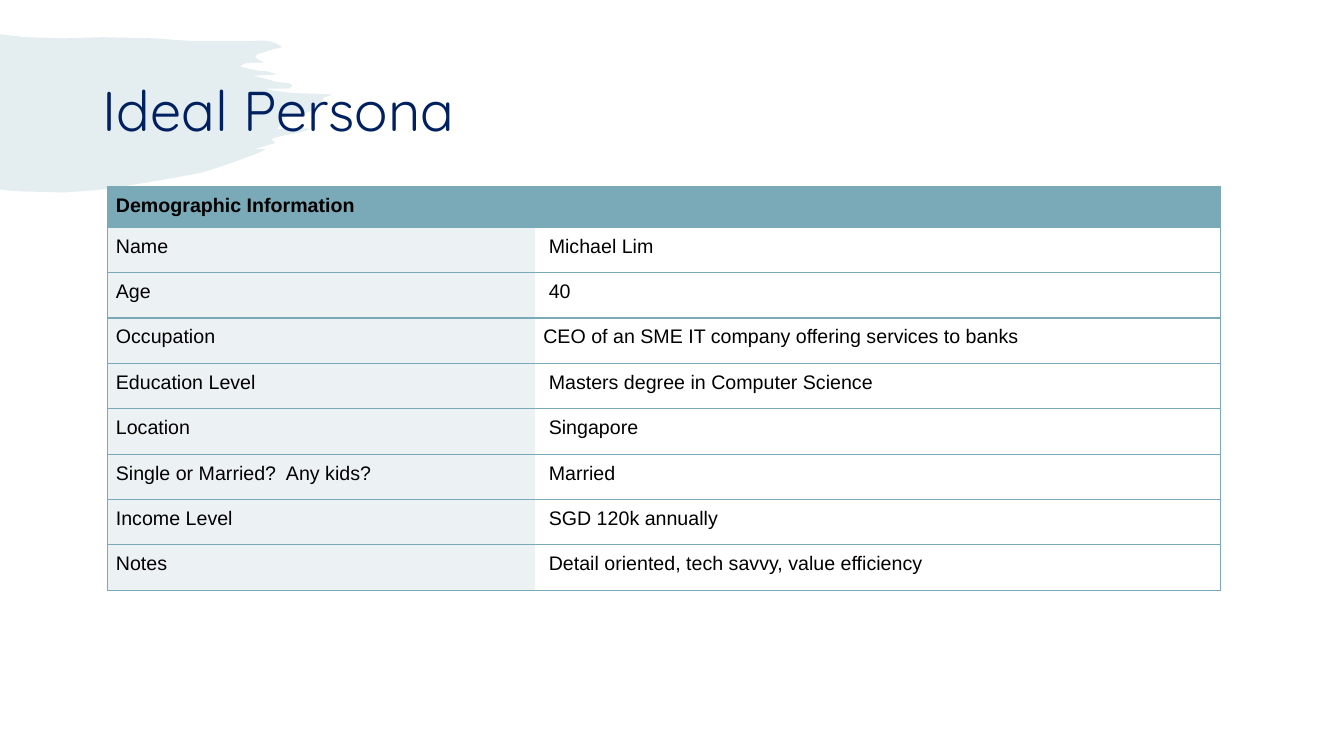
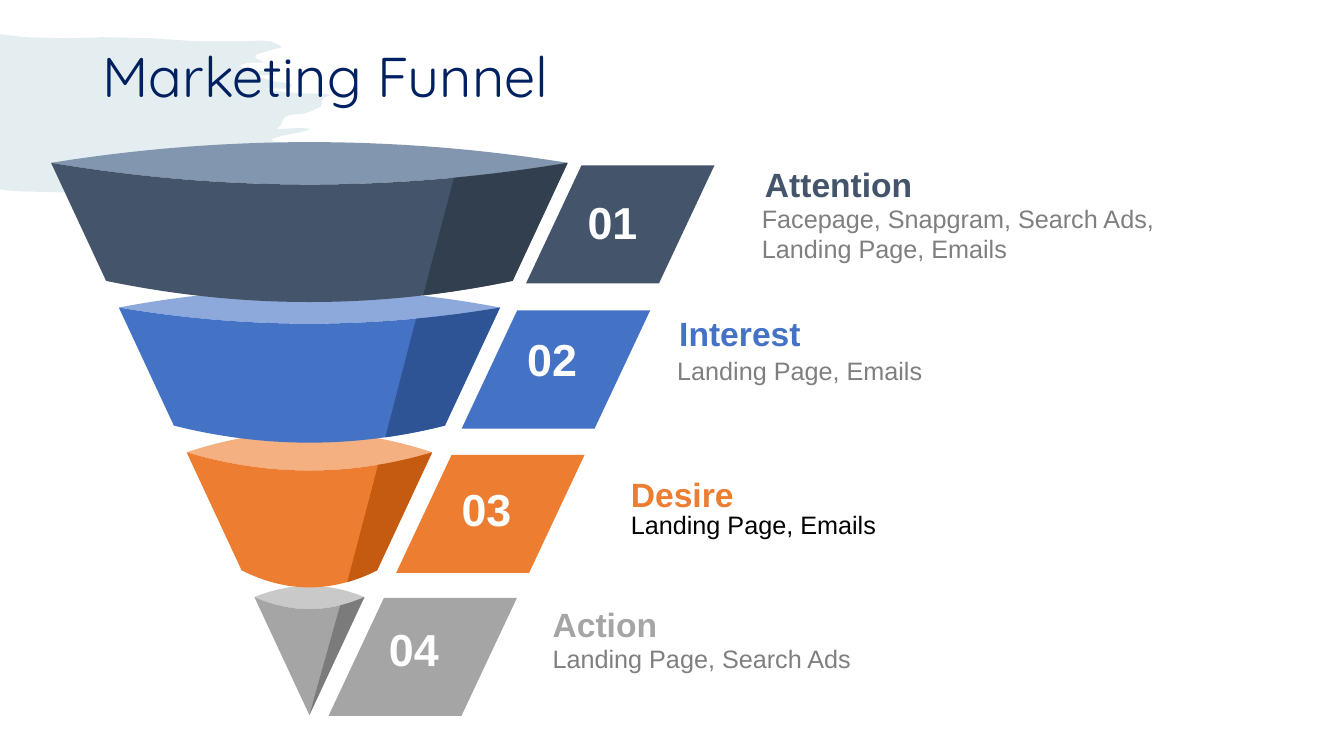
from lxml.etree import SubElement
from pptx import Presentation
from pptx.dml.color import RGBColor
from pptx.enum.shapes import MSO_SHAPE
from pptx.enum.text import MSO_ANCHOR
from pptx.oxml.ns import qn
from pptx.util import Pt

TEAL = RGBColor(0x7A, 0xA9, 0xB7)
PALE = RGBColor(0xEC, 0xF1, 0xF3)
NAVY = RGBColor(0x00, 0x20, 0x60)
WHITE = RGBColor(0xFF, 0xFF, 0xFF)
BLACK = RGBColor(0x00, 0x00, 0x00)
GRAY = RGBColor(0x7F, 0x7F, 0x7F)

TITLE_FORMAT = {"name": "Quicksand", "size": Pt(40), "bold": False}
NUMBER_FORMAT = {"name": "Arial", "size": Pt(32), "bold": True}
HEADING_FORMAT = {"name": "Arial", "size": Pt(24), "bold": True}
DETAIL_FORMAT = {"name": "Arial", "size": Pt(18), "bold": False}
CELL_FORMAT = {"name": "Arial", "size": Pt(14), "bold": False}
HEADER_FORMAT = {**CELL_FORMAT, "bold": True}

# A piece of an outline is one point for a line, or control points and an end point.
BRUSH_STROKE = [
    [(0, 24.5)], [(4.3, 25)], [(18, 26.6)], [(47.5, 27.4)], [(73.4, 26.6)],
    [(108.7, 27.4)], [(139.7, 29.5)], [(178.6, 29.5)],
    [(186.5, 28.8), (194.4, 28.1), (201.6, 33.8)],
    [(195.1, 35.3)], [(183.6, 38.9)], [(182.2, 41)], [(184.3, 42.5)], [(188.6, 44.6)],
    [(182.9, 45.4), (176.4, 43.2), (171.4, 47.5)],
    [(177.1, 49)], [(184.3, 50.4)], [(191.5, 51.1)], [(198, 53.3)], [(180.7, 54)],
    [(189.4, 56.2)], [(196.6, 58.3)], [(201.6, 59)], [(207.4, 59.8)], [(208.8, 61.2)],
    [(206.6, 63.4)], [(204.5, 63.4)], [(189.4, 63.4)],
    [(205.2, 67.7), (221, 66.2), (237.6, 67.7)],
    [(231.1, 69.8)], [(229, 76.3)], [(221, 79.9)], [(216, 81.4)],
    [(211.7, 82.1), (207.4, 81.4), (203.8, 83.5)],
    [(201.6, 86.4)], [(200.2, 90)], [(197.3, 92.2)],
    [(205.9, 92.2), (213.8, 90.7), (221.8, 92.2)],
    [(213.1, 95.8), (203, 95.8), (193.7, 99.4)],
    [(196.6, 102.2)], [(181.4, 106.6)], [(189.4, 106.6)],
    [(188.6, 108.7), (149, 122.4), (141.8, 123.8)],
    [(127.4, 126.7), (85, 133.9), (73.4, 135.4)],
    [(46.8, 137.5)], [(16.6, 136.8)], [(5, 136.1)], [(0, 135.4)],
]

TABLE_HEADER = "Demographic Information"
CELL_MARGIN, VALUE_MARGIN = 5.8, 9.7
PERSONA = [  # label, value, left margin of the value
    ("Name", "Michael Lim", VALUE_MARGIN),
    ("Age", "40", VALUE_MARGIN),
    ("Occupation", "CEO of an SME IT company offering services to banks", CELL_MARGIN),
    ("Education Level", "Masters degree in Computer Science", VALUE_MARGIN),
    ("Location", "Singapore", VALUE_MARGIN),
    ("Single or Married?  Any kids?", "Married", VALUE_MARGIN),
    ("Income Level", "SGD 120k annually", VALUE_MARGIN),
    ("Notes", "Detail oriented, tech savvy, value efficiency", VALUE_MARGIN),
]

# Places are (left, top) or (left, top, width, height); sags are the depths of the curves.
TIERS = [
    {"heading": "Attention", "detail": "Facepage, Snapgram, Search Ads, Landing Page, Emails",
     "body": RGBColor(0x44, 0x54, 0x6A), "lid": RGBColor(0x82, 0x96, 0xB0),
     "shade": RGBColor(0x32, 0x3F, 0x4F), "detail_color": GRAY,
     "lid_rise": 14.8, "rim_sag": 15.5, "base_sag": 15.1,
     "tag_at": (375.8, 118.1), "number_at": (412.6, 135.4),
     "heading_place": (539.3, 113.8, 334.1, 36.7), "detail_place": (537.1, 141.8, 358.6, 72.7)},
    {"heading": "Interest", "detail": "Landing Page, Emails",
     "body": RGBColor(0x44, 0x72, 0xC4), "lid": RGBColor(0x8D, 0xA9, 0xDB),
     "shade": RGBColor(0x2F, 0x54, 0x96), "detail_color": GRAY,
     "lid_rise": 13, "rim_sag": 11.5, "base_sag": 12.2,
     "tag_at": (329.8, 221.8), "number_at": (369.4, 233.3),
     "heading_place": (478.1, 220, 298.8, 36.7), "detail_place": (476.6, 250.6, 358.6, 28.8)},
    {"heading": "Desire", "detail": "Landing Page, Emails",
     "body": RGBColor(0xED, 0x7D, 0x31), "lid": RGBColor(0xF4, 0xB0, 0x81),
     "shade": RGBColor(0xC5, 0x5A, 0x11), "detail_color": BLACK,
     "lid_rise": 14.6, "rim_sag": 13, "base_sag": 12.2,
     "tag_at": (283, 324.9), "number_at": (322.6, 340.6),
     "heading_place": (443.5, 334.8, 308.2, 36.7), "detail_place": (443.5, 360.4, 358.6, 28.8)},
    {"heading": "Action", "detail": "Landing Page, Search Ads",
     "body": RGBColor(0xA5, 0xA5, 0xA5), "lid": RGBColor(0xC9, 0xC9, 0xC9),
     "shade": RGBColor(0x7B, 0x7B, 0x7B), "detail_color": GRAY,
     "lid_rise": 8, "rim_sag": 8.6, "base_sag": 0,
     "tag_at": (234.7, 427), "number_at": (270.7, 440.9),
     "heading_place": (387.6, 427.7, 332.6, 36.7), "detail_place": (387.6, 455.8, 358.6, 28.8)},
]
FUNNEL_CENTER, FUNNEL_TOP = 221, 116.3
HALF_WIDTH, TIER_SLANT, HALF_STEP = 184.5, 39.3, 48.4
TIER_HEIGHT, TIER_STEP = 84.3, 103.4
SHADE_START = 0.56
TAG_WIDTH = 134.6


def paint(shape, color):
    shape.shadow.inherit = False
    shape.fill.solid()
    shape.fill.fore_color.rgb = color
    shape.line.fill.background()


def add_outline(page, pieces, color):
    """Draw a closed outline; pieces of two or three points become curves."""
    corners = [(Pt(x), Pt(y)) for piece in pieces for x, y in piece]
    builder = page.shapes.build_freeform(*corners[0], scale=1.0)
    builder.add_line_segments(corners[1:], close=True)
    shape = builder.convert_to_shape()
    lines = iter(list(shape._element.iter(qn("a:lnTo"))))
    for piece in pieces[1:]:
        segment = next(lines)
        for _ in piece[1:]:
            line = next(lines)
            segment.append(line[0])
            line.getparent().remove(line)
        segment.tag = qn(("a:lnTo", "a:quadBezTo", "a:cubicBezTo")[len(piece) - 1])
    paint(shape, color)
    return shape


def write(frame, text, formats, color):
    para = frame.paragraphs[0]
    span = para.add_run()
    span.text = text
    for name, value in formats.items():
        setattr(span.font, name, value)
    span.font.color.rgb = color


def add_text(page, place, text, formats, color):
    box = page.shapes.add_textbox(*map(Pt, place))
    box.text_frame.word_wrap = True
    write(box.text_frame, text, formats, color)
    return box


def add_page(deck, title, title_top):
    page = deck.slides.add_slide(deck.slide_layouts[6])
    box = add_text(page, (66.2, title_top, 828, 104.4), title, TITLE_FORMAT, NAVY)
    box.text_frame.vertical_anchor = MSO_ANCHOR.MIDDLE
    box.text_frame.paragraphs[0].line_spacing = 0.9
    return page


def add_brush_to_layout(page):
    """Draw the brush stroke and move it to the layout that all pages share."""
    brush = add_outline(page, BRUSH_STROKE, TEAL)
    tint = brush._element.spPr.find(".//" + qn("a:srgbClr"))
    SubElement(tint, qn("a:alpha"), val="20000")
    page.slide_layout.shapes._spTree.append(brush._element)


def set_borders(cell, visible):
    """Draw the named sides (L, R, T, B) and clear the others."""
    properties = cell._tc.get_or_add_tcPr()
    for side in "LRTB":
        line = SubElement(properties, qn("a:ln" + side), w=str(Pt(1)))
        if side in visible:
            fill = SubElement(line, qn("a:solidFill"))
            SubElement(fill, qn("a:srgbClr"), val=str(TEAL))
        else:
            SubElement(line, qn("a:noFill"))


def fill_cell(cell, text, formats, color, borders, left_margin=CELL_MARGIN):
    set_borders(cell, borders)
    cell.fill.solid()
    cell.fill.fore_color.rgb = color
    cell.margin_left = Pt(left_margin)
    cell.margin_right = cell.margin_top = cell.margin_bottom = Pt(CELL_MARGIN)
    if text:
        write(cell.text_frame, text, formats, BLACK)


def add_persona_table(page):
    widths = (305.3, 489.6)
    heights = [29.2] + [32.4] * len(PERSONA)
    frame = page.shapes.add_table(len(heights), 2, Pt(77), Pt(133.2),
                                  Pt(sum(widths)), Pt(sum(heights)))
    table = frame.table
    for column, width in zip(table.columns, widths):
        column.width = Pt(width)
    for row, height in zip(table.rows, heights):
        row.height = Pt(height)
    table.cell(0, 0).merge(table.cell(0, 1))
    fill_cell(table.cell(0, 0), TABLE_HEADER, HEADER_FORMAT, TEAL, "LRTB")
    fill_cell(table.cell(0, 1), "", HEADER_FORMAT, TEAL, "RTB")
    for row, (label, value, margin) in enumerate(PERSONA, start=1):
        fill_cell(table.cell(row, 0), label, CELL_FORMAT, PALE, "LTB")
        fill_cell(table.cell(row, 1), value, CELL_FORMAT, WHITE, "RTB", margin)


def arc(half, y, sag, *stops):
    """Pieces of a parabola about the funnel's axis, through stops from -1 to 1 of its half width."""
    def point(a, b):
        return FUNNEL_CENTER + half * (a + b) / 2, y + sag * (1 - a * b)

    curves = [[point(a, b), point(b, b)] for a, b in zip(stops, stops[1:])]
    return [[point(stops[0], stops[0])]] + curves


def add_tier(page, index, tier):
    top = FUNNEL_TOP + TIER_STEP * index
    bottom = top + TIER_HEIGHT
    half = HALF_WIDTH - HALF_STEP * index
    base = max(0, half - TIER_SLANT)
    rim_back = arc(half, top, tier["rim_sag"], 1, 0, -1)
    add_outline(page, arc(half, top, -tier["lid_rise"], -1, 0, 1) + rim_back[1:], tier["lid"])
    for stops, color in (((-1, 0, 1), tier["body"]), ((SHADE_START, 1), tier["shade"])):
        rim = arc(half, top, tier["rim_sag"], *stops)
        foot = arc(base, bottom, tier["base_sag"], *stops[::-1])
        add_outline(page, rim + (foot if tier["base_sag"] else foot[:1]), color)

    tag = page.shapes.add_shape(MSO_SHAPE.PARALLELOGRAM, *map(Pt, tier["tag_at"]),
                                Pt(TAG_WIDTH), Pt(TIER_HEIGHT))
    tag.adjustments[0] = 0.47
    paint(tag, tier["body"])
    add_text(page, tier["number_at"] + (65.5, 54.7), f"{index + 1:02}", NUMBER_FORMAT, WHITE)
    add_text(page, tier["heading_place"], tier["heading"], HEADING_FORMAT, tier["body"])
    add_text(page, tier["detail_place"], tier["detail"], DETAIL_FORMAT, tier["detail_color"])


def main():
    deck = Presentation()
    deck.slide_width, deck.slide_height = Pt(960), Pt(540)
    persona_page = add_page(deck, "Ideal Persona", 28.8)
    add_brush_to_layout(persona_page)
    add_persona_table(persona_page)
    funnel_page = add_page(deck, "Marketing Funnel", 4.5)
    for index, tier in reversed(list(enumerate(TIERS))):
        add_tier(funnel_page, index, tier)
    deck.save("out.pptx")


if __name__ == "__main__":
    main()
